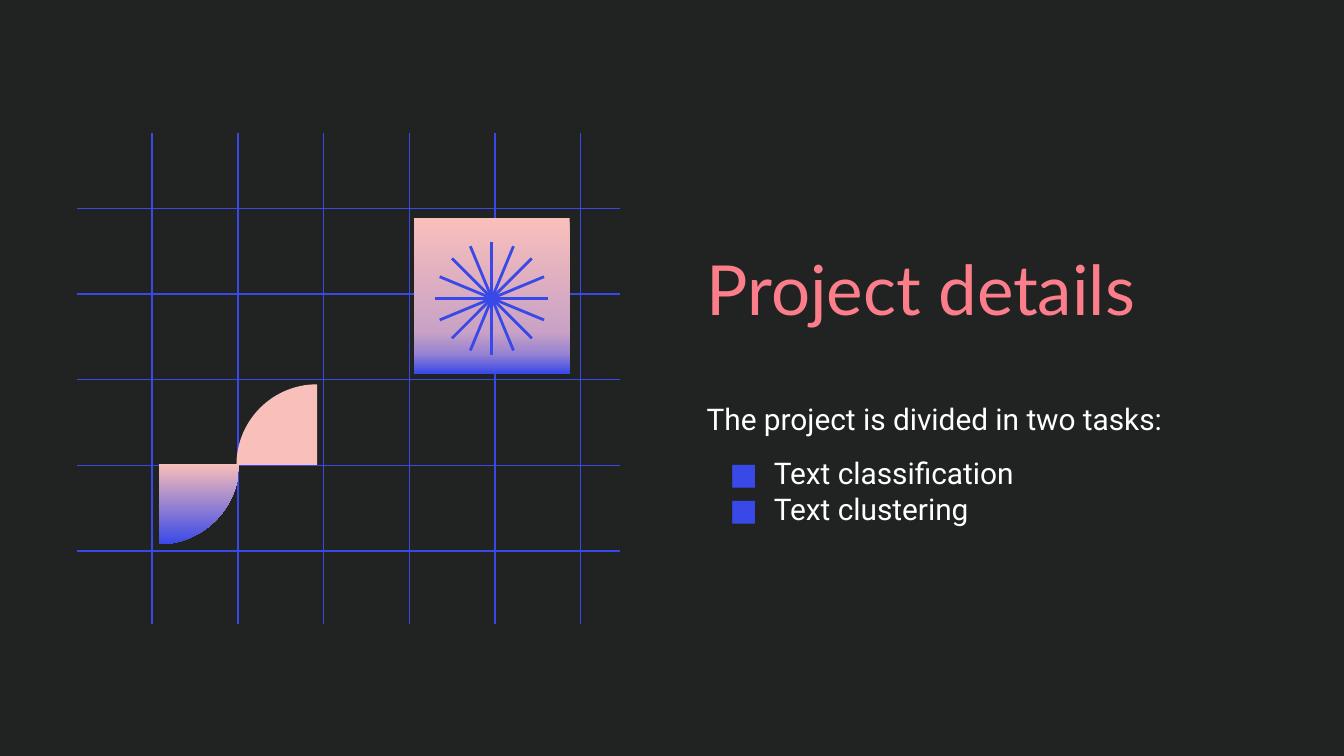
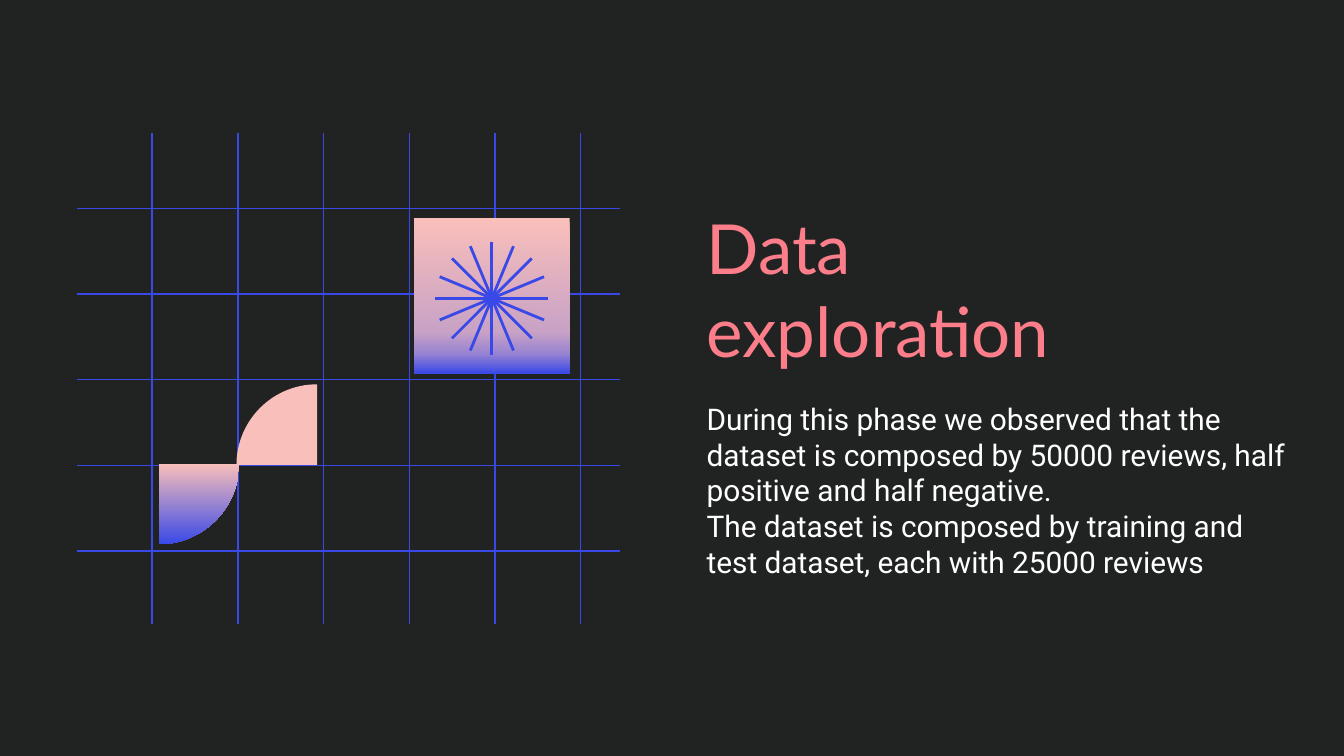
import math

from lxml import etree
from pptx import Presentation
from pptx.dml.color import RGBColor
from pptx.enum import shapes as kinds, text as txt
from pptx.oxml.ns import qn
from pptx.util import Inches, Pt

BACKGROUND = RGBColor(0x21, 0x22, 0x22)
CORAL = RGBColor(0xFB, 0x7E, 0x8A)
WHITE = RGBColor(0xFF, 0xFF, 0xFF)
BLUE = RGBColor(0x39, 0x49, 0xE8)
PINK = RGBColor(0xF9, 0xBF, 0xBA)
LILAC = RGBColor(0xC9, 0xA2, 0xC6)
VIOLET = RGBColor(0x99, 0x84, 0xD1)

TITLE_FONT, BODY_FONT = "Lato", "Roboto"
PETAL_FADE = [(0, PINK), (100, BLUE)]
TILE_FADE = [(0, PINK), (73, LILAC), (87, VIOLET), (100, BLUE)]

# Regions: left, top, width, height in inches
ART_BOX = (0.57, 0.99, 4.04, 3.65)
TITLE_BOX = (5.16, 1.46, 3.76, 1.37)
BODY_LEFT, BODY_TOP, BODY_HEIGHT = 5.16, 2.88, 1.68


def add_line(group, x1, y1, x2, y2, weight):
    line = group.shapes.add_connector(
        kinds.MSO_CONNECTOR.STRAIGHT,
        Inches(x1), Inches(y1), Inches(x2), Inches(y2))
    line.line.color.rgb = BLUE
    line.line.width = Pt(weight)
    etree.SubElement(line._element.spPr, qn("a:effectLst"))


def paint(shape, stops):
    """Fill with one colour, or with a fade from top to bottom."""
    shape.shadow.inherit = False
    shape.line.fill.background()
    if len(stops) == 1:
        shape.fill.solid()
        shape.fill.fore_color.rgb = stops[0][1]
        return
    shape.fill.gradient()
    shape.fill.gradient_angle = 270
    stop_list = next(shape._element.spPr.iter(qn("a:gsLst")))
    for old in list(stop_list):
        stop_list.remove(old)
    for percent, color in stops:
        stop = etree.SubElement(stop_list, qn("a:gs"), pos=str(percent * 1000))
        etree.SubElement(stop, qn("a:srgbClr"), val=str(color))


def add_grid(slide, box):
    left, top, width, height = box
    grid = slide.shapes.add_group_shape()
    pitch = 2.55 / 4
    for column in range(6):
        x = left + width - 0.29 - (5 - column) * pitch
        add_line(grid, x, top, x, top + height, 0.75)
    for row in range(5):
        y = top + 0.56 + row * pitch
        add_line(grid, left + width, y, left, y, 0.75)


def add_quarter(group, corner_x, corner_y, radius, start_angle, stops):
    """Quarter disc around its corner; angles run clockwise from the right."""
    steps = 30
    arc = []
    for step in range(steps + 1):
        angle = math.radians(start_angle + 90 * step / steps)
        arc.append((Inches(corner_x + radius * math.cos(angle)),
                    Inches(corner_y + radius * math.sin(angle))))
    outline = group.shapes.build_freeform(Inches(corner_x), Inches(corner_y))
    outline.add_line_segments(arc, close=True)
    paint(outline.convert_to_shape(), stops)


def add_petals(slide, box):
    left, top = box[:2]
    petals = slide.shapes.add_group_shape()
    add_quarter(petals, left + 1.79, top + 2.47, 0.6, 180, [(0, PINK)])
    add_quarter(petals, left + 0.61, top + 2.46, 0.6, 0, PETAL_FADE)


def add_star_tile(slide, box):
    left, top = box[0] + 2.51, box[1] + 0.63
    side, radius, spokes = 1.16, 0.42, 8
    star = slide.shapes.add_group_shape()
    tile = star.shapes.add_shape(
        kinds.MSO_SHAPE.RECTANGLE,
        Inches(left), Inches(top), Inches(side), Inches(side))
    paint(tile, TILE_FADE)
    center_x, center_y = left + side / 2, top + 0.6
    for spoke in range(spokes):
        angle = math.pi * spoke / spokes
        dx, dy = radius * math.cos(angle), radius * math.sin(angle)
        add_line(star, center_x + dx, center_y + dy,
                 center_x - dx, center_y - dy, 1.5)


def add_text_frame(slide, box, anchor):
    frame = slide.shapes.add_textbox(*map(Inches, box)).text_frame
    frame.word_wrap = True
    frame.vertical_anchor = anchor
    frame.margin_left = frame.margin_right = Inches(0.1)
    frame.margin_top = frame.margin_bottom = Inches(0.1)
    return frame


def style(paragraph, font, size, color):
    for run in paragraph.runs:
        run.font.name = font
        run.font.size = Pt(size)
        run.font.color.rgb = color


def add_bullet(paragraph):
    props = paragraph._p.get_or_add_pPr()
    props.set("marL", str(Inches(0.5)))
    props.set("indent", str(Inches(-0.33)))
    color = etree.SubElement(props, qn("a:buClr"))
    etree.SubElement(color, qn("a:srgbClr"), val=str(BLUE))
    etree.SubElement(props, qn("a:buFont"), typeface=TITLE_FONT)
    etree.SubElement(props, qn("a:buChar"), char="■")


def add_title(slide, title):
    frame = add_text_frame(slide, TITLE_BOX, txt.MSO_ANCHOR.MIDDLE)
    frame.text = title
    style(frame.paragraphs[0], TITLE_FONT, 37, CORAL)


def add_body(slide, width, statements, tasks):
    box = (BODY_LEFT, BODY_TOP, width, BODY_HEIGHT)
    frame = add_text_frame(slide, box, txt.MSO_ANCHOR.TOP)
    frame.text = "\n".join(statements + tasks)
    for paragraph in frame.paragraphs:
        style(paragraph, BODY_FONT, 16, WHITE)
    bullets = frame.paragraphs[len(statements):]
    for index, paragraph in enumerate(bullets):
        if index == 0:
            paragraph.space_before = Pt(10)
        add_bullet(paragraph)


def add_section_slide(deck, title, body_width, statements, tasks):
    slide = deck.slides.add_slide(deck.slide_layouts[6])
    slide.background.fill.solid()
    slide.background.fill.fore_color.rgb = BACKGROUND
    add_title(slide, title)
    add_body(slide, body_width, statements, tasks)
    add_grid(slide, ART_BOX)
    add_petals(slide, ART_BOX)
    add_star_tile(slide, ART_BOX)


def main():
    deck = Presentation()
    # Widescreen, 16 to 9
    deck.slide_width = Inches(10)
    deck.slide_height = Inches(10 * 9 / 16)
    add_section_slide(
        deck, "Project details", 3.76,
        ["The project is divided in two tasks:"],
        ["Text classification", "Text clustering"])
    add_section_slide(
        deck, "Data exploration", 4.6,
        ["During this phase we observed that the dataset is composed by "
         "50000 reviews, half positive and half negative.",
         "The dataset is composed by training and test dataset, "
         "each with 25000 reviews"],
        [])
    deck.save("out.pptx")


if __name__ == "__main__":
    main()
